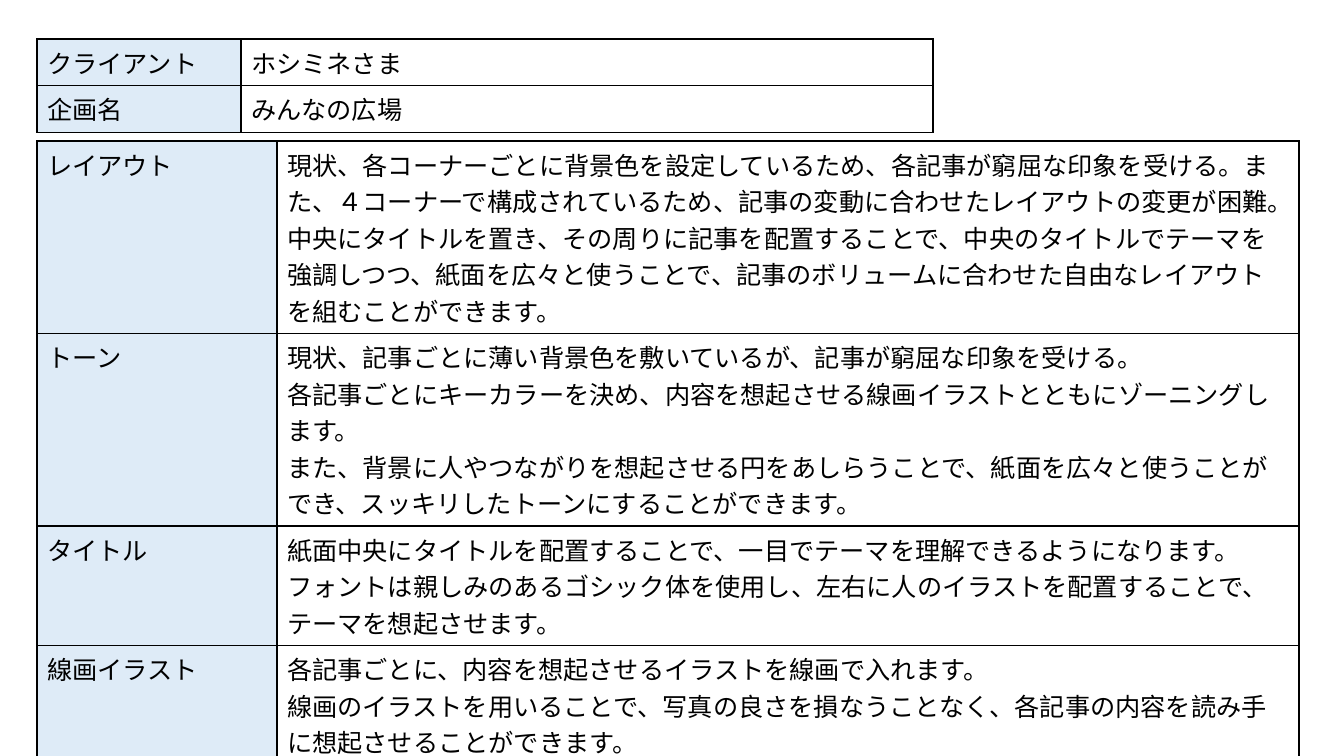
from dataclasses import dataclass

from lxml import etree
from pptx import Presentation
from pptx.dml.color import RGBColor
from pptx.enum.text import MSO_ANCHOR
from pptx.oxml.ns import qn
from pptx.util import Emu, Pt

TOP, MIDDLE = MSO_ANCHOR.TOP, MSO_ANCHOR.MIDDLE
EMU_PER_PX = 914400 / 100.8
ROW_HEIGHT = 41
LEFT = 37

PROJECT = [
    ("クライアント", ["ホシミネさま"]),
    ("企画名", ["みんなの広場"]),
]
DESIGN_POINTS = [
    ("レイアウト", [
        "現状、各コーナーごとに背景色を設定しているため、各記事が窮屈な印象を受ける。"
        "また、４コーナーで構成されているため、記事の変動に合わせたレイアウトの変更が困難。",
        "中央にタイトルを置き、その周りに記事を配置することで、中央のタイトルでテーマを強調しつつ、"
        "紙面を広々と使うことで、記事のボリュームに合わせた自由なレイアウトを組むことができます。",
    ]),
    ("トーン", [
        "現状、記事ごとに薄い背景色を敷いているが、記事が窮屈な印象を受ける。",
        "各記事ごとにキーカラーを決め、内容を想起させる線画イラストとともにゾーニングします。",
        "また、背景に人やつながりを想起させる円をあしらうことで、紙面を広々と使うことができ、"
        "スッキリしたトーンにすることができます。",
    ]),
    ("タイトル", [
        "紙面中央にタイトルを配置することで、一目でテーマを理解できるようになります。",
        "フォントは親しみのあるゴシック体を使用し、左右に人のイラストを配置することで、"
        "テーマを想起させます。",
    ]),
    ("線画イラスト", [
        "各記事ごとに、内容を想起させるイラストを線画で入れます。",
        "線画のイラストを用いることで、写真の良さを損なうことなく、"
        "各記事の内容を読み手に想起させることができます。",
    ]),
]


@dataclass(frozen=True)
class Theme:
    """Colours, type and line sizes of the slide."""
    ink: str = "000000"
    label_fill: str = "DEEBF7"
    body_fill: str = "FFFFFF"
    font: str = "Noto Sans CJK JP"
    text_size: int = 18
    border_width: int = 1


THEME = Theme()


def px(length):
    """Turn pixels into EMU."""
    return Emu(round(length * EMU_PER_PX))


def add_borders(cell):
    """Draw a solid line on all four sides of a cell."""
    properties = cell._tc.get_or_add_tcPr()
    for position, side in enumerate(("lnL", "lnR", "lnT", "lnB")):
        border = etree.Element(qn(f"a:{side}"), w=str(Pt(THEME.border_width)))
        line_fill = etree.SubElement(border, qn("a:solidFill"))
        etree.SubElement(line_fill, qn("a:srgbClr"), val=THEME.ink)
        properties.insert(position, border)


def add_text(paragraph, text):
    """Add one run in the slide's typeface."""
    run = paragraph.add_run()
    run.text = text
    run.font.size = Pt(THEME.text_size)
    run.font.name = THEME.font
    run.font.color.rgb = RGBColor.from_string(THEME.ink)
    etree.SubElement(run.font._element, qn("a:ea"), typeface=THEME.font)


def fill_cell(cell, paragraphs, fill, anchor):
    """Fill, frame and write one cell."""
    cell.fill.solid()
    cell.fill.fore_color.rgb = RGBColor.from_string(fill)
    cell.vertical_anchor = anchor
    add_borders(cell)
    frame = cell.text_frame
    for index, text in enumerate(paragraphs):
        add_text(frame.add_paragraph() if index else frame.paragraphs[0], text)


def add_sheet(slide, top, widths, entries, body_anchor):
    """Add a table of labels with their descriptions."""
    sheet = slide.shapes.add_table(
        len(entries), len(widths), px(LEFT), px(top),
        px(sum(widths)), px(ROW_HEIGHT * len(entries))).table
    sheet.first_row = False
    sheet.horz_banding = False
    for column, width in zip(sheet.columns, widths):
        column.width = px(width)
    for row, (label, description) in enumerate(entries):
        fill_cell(sheet.cell(row, 0), [label], THEME.label_fill, TOP)
        fill_cell(sheet.cell(row, 1), description, THEME.body_fill, body_anchor)


def main():
    """Build the design proposal slide."""
    deck = Presentation()
    deck.slide_width, deck.slide_height = px(1344), px(756)
    slide = deck.slides.add_slide(deck.slide_layouts[6])
    add_sheet(slide, 39, (204, 692), PROJECT, TOP)
    add_sheet(slide, 141, (240, 1022), DESIGN_POINTS, MIDDLE)
    deck.save("out.pptx")


if __name__ == "__main__":
    main()
